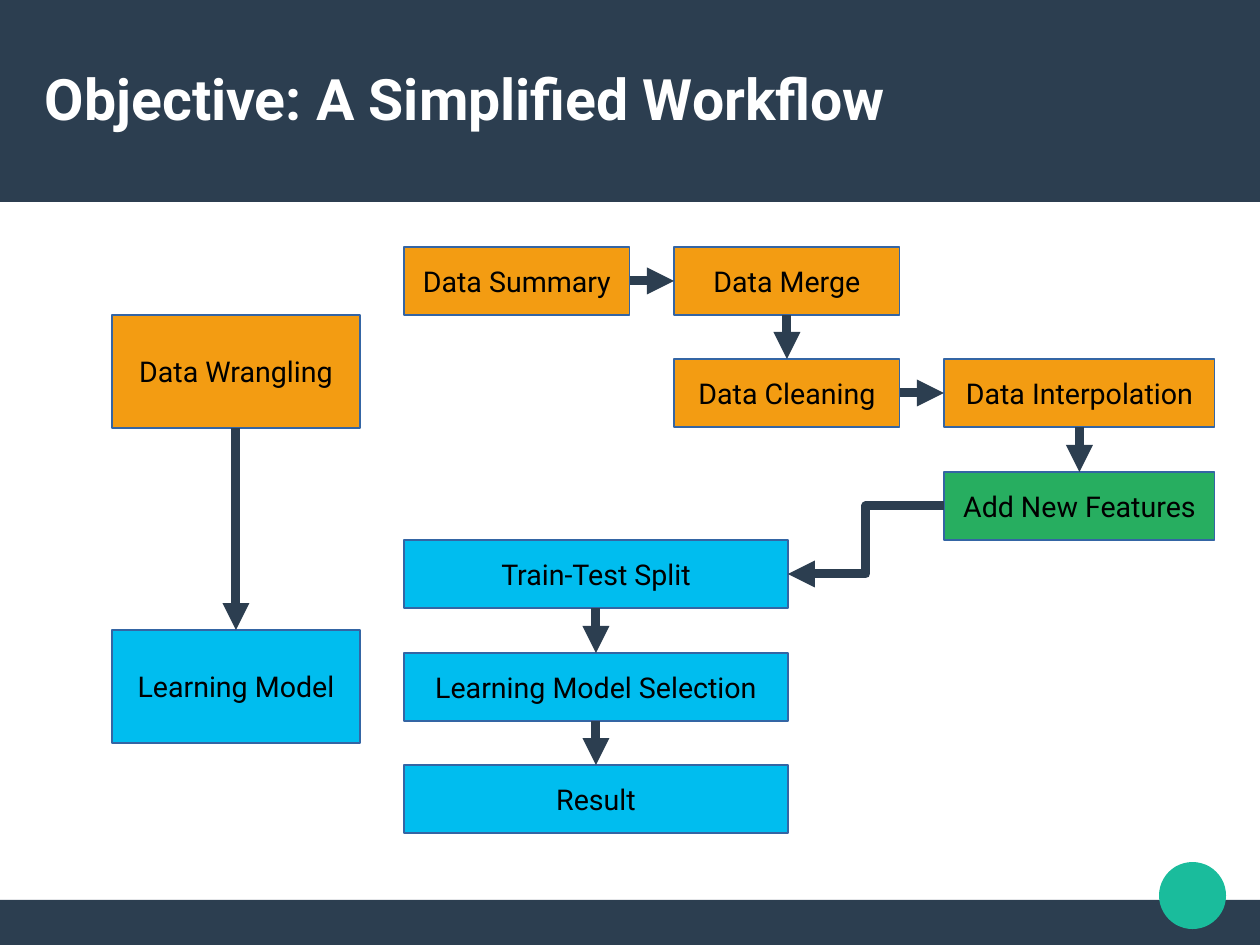
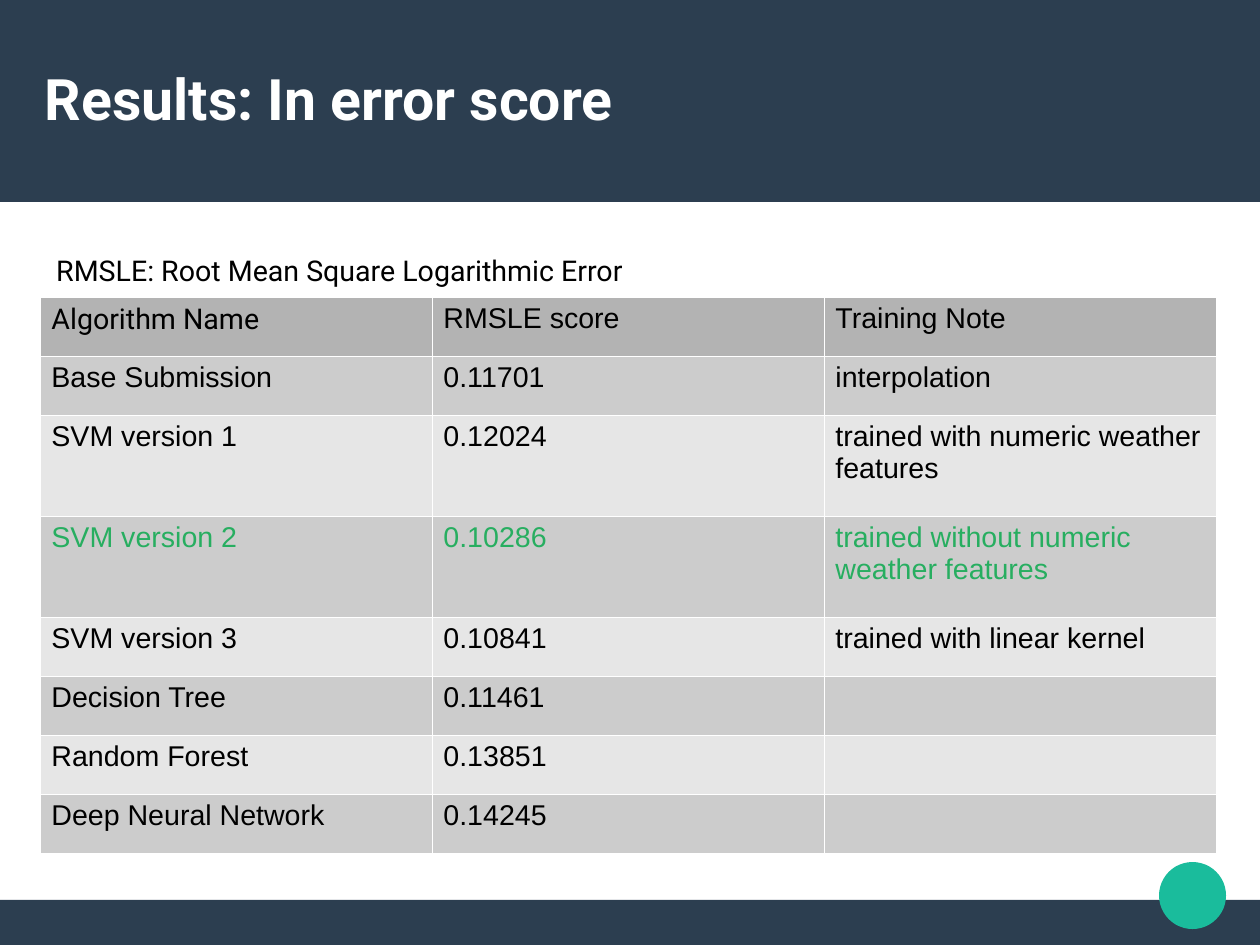
import dataclasses

import pptx
import pptx.dml.color
import pptx.enum.shapes
import pptx.enum.text
import pptx.oxml
import pptx.oxml.ns
import pptx.util

PX = 8000  # EMU in one px
SLIDE_W, SLIDE_H = 1260, 945

SHAPE = pptx.enum.shapes.MSO_SHAPE
CONNECTOR = pptx.enum.shapes.MSO_CONNECTOR
ALIGN = pptx.enum.text.PP_ALIGN
ANCHOR = pptx.enum.text.MSO_ANCHOR
TOP, LEFT, BOTTOM, RIGHT = range(4)


@dataclasses.dataclass(frozen=True)
class Theme:
    navy: str = "2C3E50"
    teal: str = "1ABC9C"
    orange: str = "F39C12"
    blue: str = "00BDEF"
    green: str = "27AE60"
    outline: str = "3465A4"
    white: str = "FFFFFF"
    black: str = "000000"
    head_row: str = "B3B3B3"
    bands: tuple = ("CCCCCC", "E6E6E6")
    font: str = "Roboto"
    table_font: str = "Arial"
    title_size: int = 36
    body_size: int = 18
    outline_width: float = 0.75
    arrow_width: float = 5.67
    cell_border: float = 0.06


THEME = Theme()


def px(*lengths):
    return [pptx.util.Emu(length * PX) for length in lengths]


def rgb(colour):
    return pptx.dml.color.RGBColor.from_string(colour)


def write(frame, text, font=THEME.font, size=THEME.body_size, colour=THEME.black,
          bold=False, align=ALIGN.LEFT):
    paragraph = frame.paragraphs[0]
    paragraph.alignment = align
    run = paragraph.add_run()
    run.text = text
    run.font.name = font
    run.font.size = pptx.util.Pt(size)
    run.font.bold = bold
    run.font.color.rgb = rgb(colour)


def add_panel(slide, kind, box, fill, outline=None):
    panel = slide.shapes.add_shape(kind, *px(*box))
    panel.shadow.inherit = False
    panel.fill.solid()
    panel.fill.fore_color.rgb = rgb(fill)
    if outline:
        panel.line.color.rgb = rgb(outline)
        panel.line.width = pptx.util.Pt(THEME.outline_width)
    else:
        panel.line.fill.background()
    return panel


def add_text(slide, box, text, inset=True, anchor=ANCHOR.TOP, **style):
    frame = slide.shapes.add_textbox(*px(*box)).text_frame
    frame.word_wrap = True
    frame.vertical_anchor = anchor
    if not inset:
        frame.margin_left = frame.margin_right = 0
        frame.margin_top = frame.margin_bottom = 0
    write(frame, text, **style)


def add_frame(deck, title):
    """Add a slide with the shared bands, dot and title."""
    slide = deck.slides.add_slide(deck.slide_layouts[6])
    add_panel(slide, SHAPE.RECTANGLE, (0, 900, SLIDE_W, 45), THEME.navy)
    add_panel(slide, SHAPE.RECTANGLE, (0, 0, SLIDE_W, 202), THEME.navy)
    add_panel(slide, SHAPE.OVAL, (1159, 862, 67, 67), THEME.teal)
    add_text(slide, (45, 38, 1170, 120), title, inset=False, anchor=ANCHOR.MIDDLE,
             size=THEME.title_size, colour=THEME.white, bold=True)
    return slide


def add_step(slide, box, text, fill):
    step = add_panel(slide, SHAPE.RECTANGLE, box, fill, THEME.outline)
    step.text_frame.word_wrap = False
    step.text_frame.vertical_anchor = ANCHOR.MIDDLE
    write(step.text_frame, text, align=ALIGN.CENTER)
    return step


def add_arrow(slide, start, start_side, end, end_side, kind=CONNECTOR.STRAIGHT):
    arrow = slide.shapes.add_connector(kind, 0, 0, 0, 0)
    arrow.begin_connect(start, start_side)
    arrow.end_connect(end, end_side)
    arrow.line.color.rgb = rgb(THEME.navy)
    arrow.line.width = pptx.util.Pt(THEME.arrow_width)
    properties = arrow._element.spPr
    line = properties.find(pptx.oxml.ns.qn("a:ln"))
    line.append(xml('<a:tailEnd {ns} type="triangle"/>'))
    properties.append(xml("<a:effectLst {ns}/>"))


def xml(markup):
    return pptx.oxml.parse_xml(markup.format(ns=pptx.oxml.ns.nsdecls("a")))


def draw_phases(slide, box):
    """Two stacked phases, from the top to the bottom of the box."""
    left, top, width, height = box
    phase_h = 113
    wrangling = add_step(slide, (left, top, width, phase_h), "Data Wrangling", THEME.orange)
    learning = add_step(slide, (left, top + height - phase_h, width, phase_h),
                        "Learning Model", THEME.blue)
    add_arrow(slide, wrangling, BOTTOM, learning, TOP)


def draw_steps(slide, box):
    """Wrangling steps go down to the right, modelling steps down the left side."""
    left, top, width, height = box
    step_h, row_pitch, column_pitch = 68, 112.5, 270
    narrow, model_w = 226, 384
    wide = width - 2 * column_pitch
    model_top = height - 2 * row_pitch - step_h

    def place(text, column, y, step_w, fill):
        return add_step(slide, (left + column * column_pitch, top + round(y), step_w, step_h),
                        text, fill)

    summary = place("Data Summary", 0, 0, narrow, THEME.orange)
    merge = place("Data Merge", 1, 0, narrow, THEME.orange)
    cleaning = place("Data Cleaning", 1, row_pitch, narrow, THEME.orange)
    interpolation = place("Data Interpolation", 2, row_pitch, wide, THEME.orange)
    features = place("Add New Features", 2, 2 * row_pitch, wide, THEME.green)
    split, selection, result = [
        place(text, 0, model_top + row * row_pitch, model_w, THEME.blue)
        for row, text in enumerate(["Train-Test Split", "Learning Model Selection", "Result"])]

    for start, end in [(summary, merge), (cleaning, interpolation)]:
        add_arrow(slide, start, RIGHT, end, LEFT)
    for start, end in [(merge, cleaning), (interpolation, features),
                       (split, selection), (selection, result)]:
        add_arrow(slide, start, BOTTOM, end, TOP)
    add_arrow(slide, features, LEFT, split, RIGHT, CONNECTOR.ELBOW)


SCORES = [
    ("Algorithm Name", "RMSLE score", "Training Note"),
    ("Base Submission", "0.11701", "interpolation"),
    ("SVM version 1", "0.12024", "trained with numeric weather features"),
    ("SVM version 2", "0.10286", "trained without numeric weather features"),
    ("SVM version 3", "0.10841", "trained with linear kernel"),
    ("Decision Tree", "0.11461", ""),
    ("Random Forest", "0.13851", ""),
    ("Deep Neural Network", "0.14245", ""),
]
BEST = "SVM version 2"
TWO_LINE_ROWS = (2, 3)


def set_borders(cell):
    properties = cell._tc.get_or_add_tcPr()
    width = pptx.util.Pt(THEME.cell_border)
    for index, side in enumerate("LRTB"):
        properties.insert(index, xml(
            f'<a:ln{side} {{ns}} w="{width}"><a:solidFill>'
            f'<a:srgbClr val="{THEME.white}"/></a:solidFill></a:ln{side}>'))


def draw_scores(slide, box):
    left, top, width, height = box
    tall = 101
    short = (height - tall * len(TWO_LINE_ROWS)) // (len(SCORES) - len(TWO_LINE_ROWS))
    scores = slide.shapes.add_table(len(SCORES), len(SCORES[0]), *px(*box)).table
    scores.first_row = scores.horz_banding = False
    for column in scores.columns:
        column.width = px(width // len(SCORES[0]))[0]
    for r, entries in enumerate(SCORES):
        scores.rows[r].height = px(tall if r in TWO_LINE_ROWS else short)[0]
        fill = THEME.bands[(r - 1) % 2] if r else THEME.head_row
        colour = THEME.green if entries[0] == BEST else THEME.black
        for c, entry in enumerate(entries):
            cell = scores.cell(r, c)
            cell.fill.solid()
            cell.fill.fore_color.rgb = rgb(fill)
            set_borders(cell)
            if entry:
                font = THEME.font if r == c == 0 else THEME.table_font
                write(cell.text_frame, entry, font=font, colour=colour)


def main():
    deck = pptx.Presentation()
    deck.slide_width, deck.slide_height = px(SLIDE_W, SLIDE_H)

    workflow = add_frame(deck, "Objective: A Simplified Workflow")
    draw_phases(workflow, (112, 315, 248, 428))
    draw_steps(workflow, (404, 247, 811, 586))

    results = add_frame(deck, "Results: In error score")
    draw_scores(results, (40, 297, 1176, 556))
    add_text(results, (45, 247, 765, 45), "RMSLE: Root Mean Square Logarithmic Error")

    deck.save("out.pptx")


if __name__ == "__main__":
    main()
